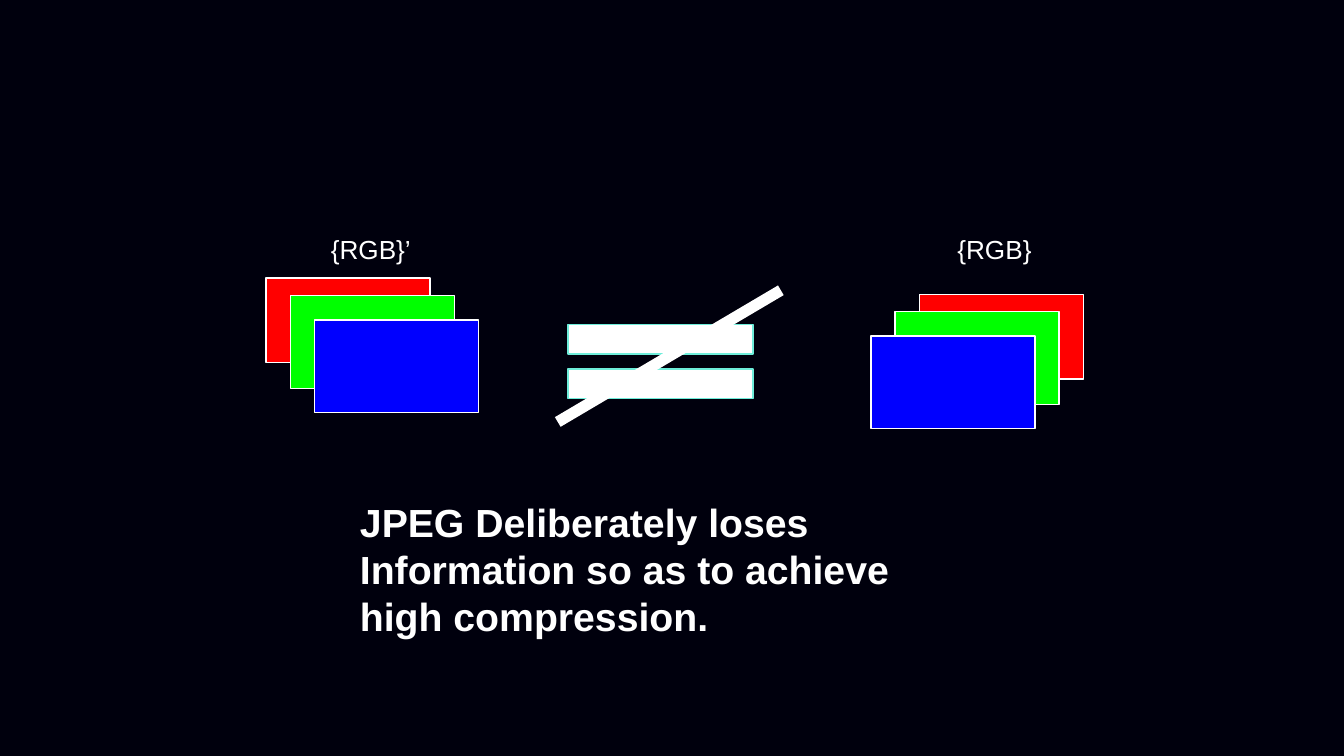
"""Build a slide showing that JPEG output differs from its RGB input."""
from dataclasses import dataclass

from lxml import etree
from pptx import Presentation
from pptx.dml.color import RGBColor
from pptx.enum.shapes import MSO_CONNECTOR, MSO_SHAPE
from pptx.enum.text import MSO_AUTO_SIZE, PP_ALIGN
from pptx.oxml.ns import qn
from pptx.util import Inches, Pt

NIGHT = RGBColor(0x00, 0x00, 0x0D)
WHITE = RGBColor(0xFF, 0xFF, 0xFF)
RED = RGBColor(0xFF, 0x00, 0x00)
GREEN = RGBColor(0x00, 0xFF, 0x00)
BLUE = RGBColor(0x00, 0x00, 0xFF)
MINT = RGBColor(0x6E, 0xED, 0xDA)
RECTANGLE = MSO_SHAPE.RECTANGLE
EQUALS = MSO_SHAPE.MATH_EQUAL
STRAIGHT = MSO_CONNECTOR.STRAIGHT
LEFT, CENTER = PP_ALIGN.LEFT, PP_ALIGN.CENTER
FIT_SHAPE = MSO_AUTO_SIZE.SHAPE_TO_FIT_TEXT


@dataclass(frozen=True)
class Plane:
    color: RGBColor
    shift: float
    drop: float
    height: float


@dataclass(frozen=True)
class PlaneStack:
    label: str
    label_left: float
    left: float
    top: float
    direction: int


PLANES = (
    Plane(RED, 0, 0, 0.63),
    Plane(GREEN, 0.18, 0.13, 0.69),
    Plane(BLUE, 0.36, 0.31, 0.69),
)
PLANE_WIDTH = 1.22
STACKS = (
    PlaneStack("{RGB}’", 2.21, 1.98, 2.07, 1),
    PlaneStack("{RGB}", 6.85, 6.84, 2.19, -1),
)


def add_filled(shapes, kind, left: float, top: float, width: float, height: float,
               fill: RGBColor, outline: RGBColor):
    shape = shapes.add_shape(kind, Inches(left), Inches(top), Inches(width), Inches(height))
    shape.shadow.inherit = False
    shape.fill.solid()
    shape.fill.fore_color.rgb = fill
    shape.line.color.rgb = outline
    shape.line.width = Pt(0.75)
    return shape


def add_text(slide, text: str, left: float, top: float, width: float, height: float, *,
             size: int, bold: bool = False, align=LEFT) -> None:
    box = slide.shapes.add_textbox(Inches(left), Inches(top), Inches(width), Inches(height))
    frame = box.text_frame
    frame.word_wrap = True
    frame.auto_size = FIT_SHAPE
    frame.margin_left = frame.margin_right = Inches(0.1)
    frame.margin_top = frame.margin_bottom = Inches(0.1)
    paragraph = frame.paragraphs[0]
    paragraph.alignment = align
    run = paragraph.add_run()
    run.text = text
    run.font.name = "Arial"
    run.font.size = Pt(size)
    run.font.bold = bold
    run.font.color.rgb = WHITE


def add_stack(slide, stack: PlaneStack) -> None:
    group = slide.shapes.add_group_shape()
    for plane in PLANES:
        add_filled(group.shapes, RECTANGLE, stack.left + stack.direction * plane.shift,
                   stack.top + plane.drop, PLANE_WIDTH, plane.height, plane.color, WHITE)


def add_not_equal(slide) -> None:
    equals = add_filled(slide.shapes, EQUALS, 3.98, 2.22, 1.87, 0.94, WHITE, MINT)
    equals.adjustments[0] = 0.235
    equals.adjustments[1] = 0.118
    slash = slide.shapes.add_connector(STRAIGHT, Inches(5.81), Inches(2.16),
                                       Inches(4.15), Inches(3.14))
    slash.line.color.rgb = WHITE
    slash.line.width = Pt(6)
    etree.SubElement(slash._element.spPr, qn("a:effectLst"))


def main() -> None:
    deck = Presentation()
    deck.slide_width = Inches(10)
    deck.slide_height = deck.slide_width * 9 // 16
    slide = deck.slides.add_slide(deck.slide_layouts[6])
    slide.background.fill.solid()
    slide.background.fill.fore_color.rgb = NIGHT

    decoded, source = STACKS
    add_stack(slide, decoded)
    add_not_equal(slide)
    add_stack(slide, source)
    add_text(slide, "JPEG Deliberately loses Information so as to achieve high compression.",
             2.58, 3.61, 4.75, 0.91, size=21, bold=True)
    for stack in STACKS:
        add_text(slide, stack.label, stack.label_left, 1.64, 1.1, 0.44, size=14, align=CENTER)
    deck.save("out.pptx")


if __name__ == "__main__":
    main()
